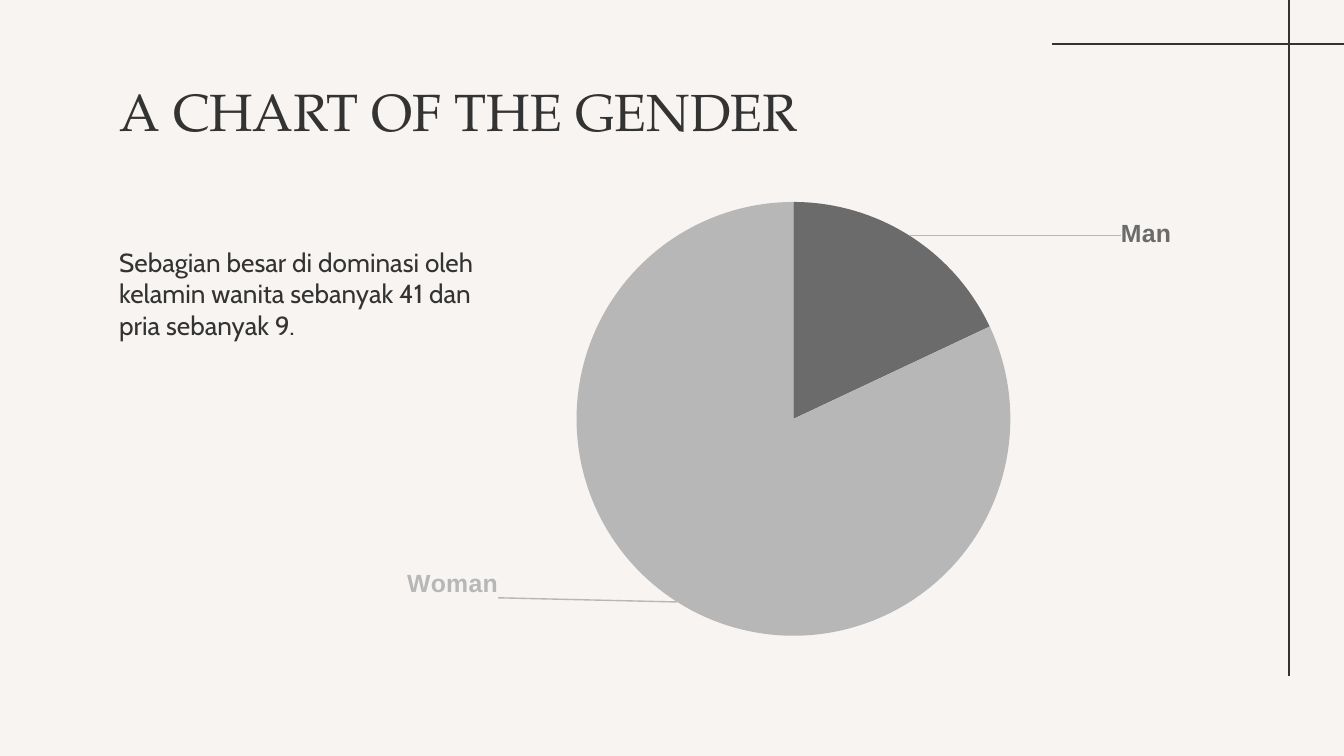
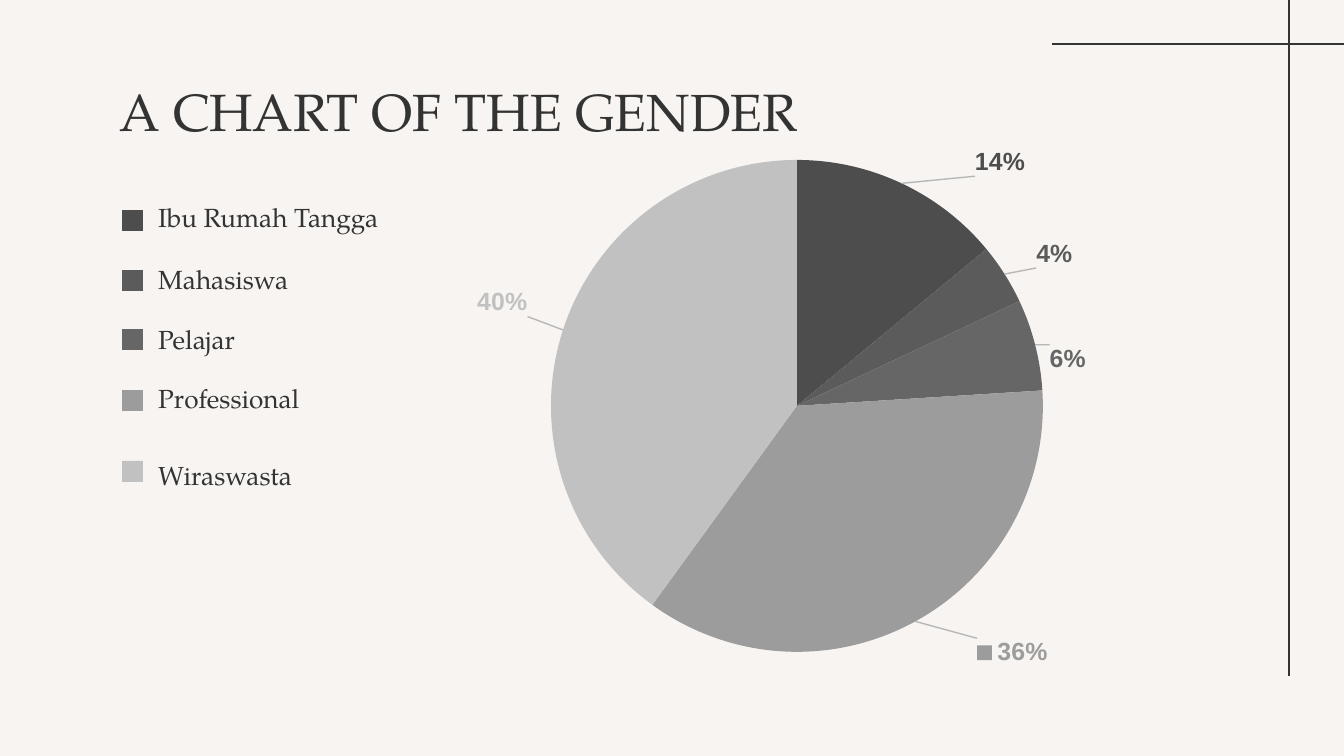
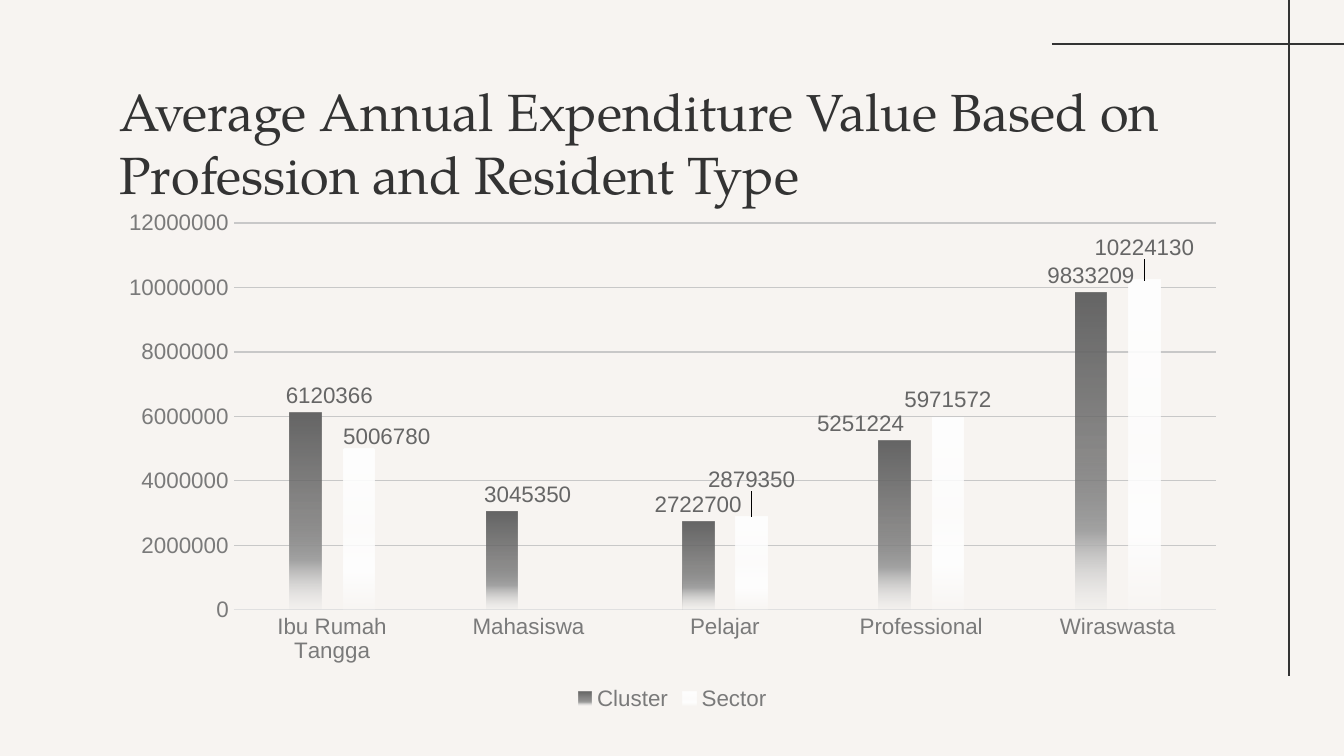
from dataclasses import dataclass

from lxml import etree
from pptx import Presentation
from pptx import util as u
from pptx.chart.data import CategoryChartData
from pptx.dml.color import RGBColor
from pptx.enum import chart as charts, shapes, text
from pptx.oxml import ns

PX = 914400 / 134.4


@dataclass(frozen=True)
class Theme:
    background: str = "F7F4F1"
    ink: str = "333333"
    leader: str = "B7B7B7"
    axis_text: str = "7A7A7A"
    axis_line: str = "E0E0E0"
    grid: str = "C8C8C8"
    value_text: str = "666666"
    genders: tuple = ("6B6B6B", "B7B7B7")
    professions: tuple = ("4D4D4D", "5B5B5B", "666666", "9C9C9C", "C1C1C1")
    # Gradient stops: position in percent, colour, opacity in percent
    cluster: tuple = ((0, "666666", 100), (51, "666666", 75),
                      (75, "A3A3A3", 100), (100, "E0E0E0", 15))
    sector: tuple = ((0, "FFFFFF", 100), (51, "FFFFFF", 75),
                     (75, "FFFFFF", 100), (100, "FFFFFF", 15))
    heading_font: str = "TeX Gyre Pagella"
    body_font: str = "Cabin"
    chart_font: str = "Arial"
    title_size: int = 28
    text_size: int = 14
    slice_size: float = 13.3
    axis_size: int = 12


THEME = Theme()
TITLE_BOX = (106, 66, 1133, 85)
PROFESSIONS = ("Ibu Rumah Tangga", "Mahasiswa", "Pelajar",
               "Professional", "Wiraswasta")


def px(value):
    return u.Emu(round(value * PX))


def emu_box(box):
    return [px(value) for value in box]


def style_font(font, name, size, colour, bold=False):
    font.name = name
    font.size = u.Pt(size)
    font.bold = bold
    font.color.rgb = RGBColor.from_string(colour)


def add_child(parent, tag, **attributes):
    return etree.SubElement(parent, ns.qn(tag), attributes)


# Shared layout

def dress_layout(layout, slide):
    """Give the layout its background, title place and corner lines."""
    fill = layout.background.fill
    fill.solid()
    fill.fore_color.rgb = RGBColor.from_string(THEME.background)
    title = layout.placeholders[0]
    title.left, title.top, title.width, title.height = emu_box(TITLE_BOX)
    corner_lines = ((1052, 44, 1357, 44), (1289, 676, 1289, -4))
    for number, ends in enumerate(corner_lines, start=20):
        line = slide.shapes.add_connector(
            shapes.MSO_CONNECTOR.STRAIGHT, *emu_box(ends))
        line.line.color.rgb = RGBColor.from_string(THEME.ink)
        line.line.width = u.Pt(0.75)
        element = line._element
        add_child(element.spPr, "a:effectLst")
        element.nvCxnSpPr.cNvPr.set("id", str(number))
        layout.shapes._spTree.append(element)


def set_text(shape, words, font, size, anchor):
    frame = shape.text_frame
    frame.word_wrap = True
    frame.auto_size = text.MSO_AUTO_SIZE.NONE
    frame.vertical_anchor = anchor
    frame.margin_left = frame.margin_right = u.Inches(0.1)
    frame.margin_top = frame.margin_bottom = u.Inches(0.1)
    paragraph = frame.paragraphs[0]
    paragraph.text = words
    paragraph.alignment = text.PP_ALIGN.LEFT
    style_font(paragraph.font, font, size, THEME.ink)


def set_title(slide, words):
    set_text(slide.shapes.title, words, THEME.heading_font,
             THEME.title_size, text.MSO_ANCHOR.TOP)


def add_text(slide, box, words, font):
    set_text(slide.shapes.add_textbox(*emu_box(box)), words, font,
             THEME.text_size, text.MSO_ANCHOR.BOTTOM)


# Chart parts

def set_manual_layout(parent, index, **values):
    """Insert a c:layout at the given index of a chart element."""
    for old in parent.findall(ns.qn("c:layout")):
        parent.remove(old)
    layout = etree.Element(ns.qn("c:layout"))
    manual = add_child(layout, "c:manualLayout")
    for name, value in values.items():
        shown = value if isinstance(value, str) else f"{value:.4f}"
        add_child(manual, f"c:{name}", val=shown)
    parent.insert(index, layout)


def place_plot(chart, box, plot):
    left, top, width, height = box
    plot_left, plot_top, plot_width, plot_height = plot
    set_manual_layout(
        chart._chartSpace.chart.plotArea, 0,
        layoutTarget="inner", xMode="edge", yMode="edge",
        x=(plot_left - left) / width, y=(plot_top - top) / height,
        w=plot_width / width, h=plot_height / height)


def label_point(series, index, box, offset, colour, size, bold, shows):
    """Label one point, moved by offset px from its usual place."""
    label = series.points[index].data_label
    style_font(label.font, THEME.chart_font, size, colour, bold)
    label.position = charts.XL_LABEL_POSITION.OUTSIDE_END
    element = series._element.xpath(
        f'c:dLbls/c:dLbl[c:idx/@val="{index}"]')[0]
    for flag in ("showLegendKey", "showVal", "showCatName", "showPercent"):
        element.find(ns.qn(f"c:{flag}")).set("val", str(int(flag in shows)))
    set_manual_layout(element, 1, x=offset[0] / box[2], y=offset[1] / box[3])


def set_leader_lines(series, colour=None):
    """Draw leader lines in the colour, or none without one."""
    labels = series._element.find(ns.qn("c:dLbls"))
    for old in labels.findall(ns.qn("c:showLeaderLines")):
        labels.remove(old)
    if colour:
        add_child(labels, "c:showLeaderLines", val="1")
        properties = add_child(add_child(labels, "c:leaderLines"), "c:spPr")
        line = add_child(properties, "a:ln", w="9525")
        add_child(add_child(line, "a:solidFill"), "a:srgbClr", val=colour)


def set_explosion(series, percent):
    """Explode the series, which shrinks the pie, but keep slices joined."""
    points = series._element.findall(ns.qn("c:dPt"))
    whole = etree.Element(ns.qn("c:explosion"), val=str(percent))
    points[0].addprevious(whole)
    for point in points:
        joined = etree.Element(ns.qn("c:explosion"), val="0")
        point.find(ns.qn("c:spPr")).addprevious(joined)


def add_chart(slide, kind, box, plot, categories, columns):
    data = CategoryChartData()
    data.categories = categories
    for name, values in columns:
        data.add_series(name, values)
    chart = slide.shapes.add_chart(kind, *emu_box(box), data).chart
    chart.has_title = False
    chart.has_legend = False
    style_font(chart.font, THEME.chart_font, 10, THEME.ink)
    place_plot(chart, box, plot)
    return chart


def add_pie(slide, box, plot, categories, values, colours, offsets, shows,
            keyed=()):
    """Add a pie whose labels take the colours of their slices."""
    chart = add_chart(slide, charts.XL_CHART_TYPE.PIE, box, plot,
                      categories, [("Series 1", values)])
    chart.plots[0].vary_by_categories = True
    series = chart.plots[0].series[0]
    for index, (colour, offset) in enumerate(zip(colours, offsets)):
        point_format = series.points[index].format
        point_format.fill.solid()
        point_format.fill.fore_color.rgb = RGBColor.from_string(colour)
        point_format.line.fill.background()
        flags = (shows, "showLegendKey") if index in keyed else (shows,)
        label_point(series, index, box, offset, colour,
                    THEME.slice_size, True, flags)
    set_leader_lines(series, THEME.leader)
    return series


def fill_gradient(series, stops):
    properties = series._element.get_or_add_spPr()
    gradient = add_child(properties, "a:gradFill", rotWithShape="1")
    stop_list = add_child(gradient, "a:gsLst")
    for position, colour, opacity in stops:
        stop = add_child(stop_list, "a:gs", pos=str(position * 1000))
        shade = add_child(stop, "a:srgbClr", val=colour)
        if opacity < 100:
            add_child(shade, "a:alpha", val=str(opacity * 1000))
    add_child(gradient, "a:lin", ang="5400000", scaled="0")
    series.format.line.fill.background()


def style_axes(chart):
    for axis in (chart.category_axis, chart.value_axis):
        axis.major_tick_mark = charts.XL_TICK_MARK.NONE
        axis.minor_tick_mark = charts.XL_TICK_MARK.NONE
        style_font(axis.tick_labels.font, THEME.chart_font,
                   THEME.axis_size, THEME.axis_text)
    base_line = chart.category_axis.format.line
    base_line.color.rgb = RGBColor.from_string(THEME.axis_line)
    base_line.width = u.Pt(0.75)
    value_axis = chart.value_axis
    value_axis.minimum_scale = 0
    value_axis.maximum_scale = 12000000
    value_axis.major_unit = 2000000
    value_axis.format.line.fill.background()
    value_axis.has_major_gridlines = True
    grid_line = value_axis.major_gridlines.format.line
    grid_line.color.rgb = RGBColor.from_string(THEME.grid)
    grid_line.width = u.Pt(0.75)


def add_expenditure_columns(slide, box, plot):
    columns = [
        ("Cluster", (6120366, 3045350, 2722700, 5251224, 9833209)),
        ("Sector", (5006780, None, 2879350, 5971572, 10224130)),
    ]
    gradients = (THEME.cluster, THEME.sector)
    moved_labels = ({0: (24, 1), 1: (26, 0), 3: (-34, 1)},
                    {0: (28, 6), 2: (0, -20), 4: (0, -15)})
    chart = add_chart(slide, charts.XL_CHART_TYPE.COLUMN_CLUSTERED, box,
                      plot, PROFESSIONS, columns)
    bars = chart.plots[0]
    bars.vary_by_categories = False
    bars.gap_width = 355
    bars.overlap = -70
    for series, stops, offsets in zip(bars.series, gradients, moved_labels):
        fill_gradient(series, stops)
        labels = series.data_labels
        labels.show_value = True
        labels.position = charts.XL_LABEL_POSITION.OUTSIDE_END
        style_font(labels.font, THEME.chart_font, THEME.axis_size,
                   THEME.value_text)
        for index, offset in offsets.items():
            label_point(series, index, box, offset, THEME.value_text,
                        THEME.axis_size, False, ("showVal",))
        set_leader_lines(series)
    style_axes(chart)
    chart.has_legend = True
    chart.legend.position = charts.XL_LEGEND_POSITION.BOTTOM
    chart.legend.include_in_layout = False
    style_font(chart.legend.font, THEME.chart_font, THEME.axis_size,
               THEME.axis_text)


def add_profession_key(slide, left, top):
    """Add the colour squares and their names below the given corner."""
    square_tops = (26, 86, 145, 206, 277)
    name_tops = (0, 62, 122, 181, 258)
    for name, colour, square_top, name_top in zip(
            PROFESSIONS, THEME.professions, square_tops, name_tops):
        square = slide.shapes.add_shape(
            shapes.MSO_SHAPE.RECTANGLE,
            *emu_box((left, top + square_top, 21, 21)))
        square.shadow.inherit = False
        square.fill.solid()
        square.fill.fore_color.rgb = RGBColor.from_string(colour)
        square.line.fill.background()
        add_text(slide, (left + 23, top + name_top, 285, 62), name,
                 THEME.heading_font)


# Slides

def build_gender_slide(slide):
    set_title(slide, "A CHART OF THE GENDER")
    add_text(slide, (106, 270, 396, 84),
             "Sebagian besar di dominasi oleh kelamin wanita sebanyak 41 "
             "dan pria sebanyak 9.", THEME.body_font)
    series = add_pie(
        slide, box=(245, 98, 1099, 640), plot=(505, 119, 577, 600),
        categories=("Man", "Woman"), values=(18, 82),
        colours=THEME.genders, offsets=((207, 19), (-175, -39)),
        shows="showCatName")
    set_explosion(series, 33)
    labels = series.data_labels
    labels.show_value = False
    labels.show_category_name = True
    labels.position = charts.XL_LABEL_POSITION.OUTSIDE_END


def build_profession_slide(slide):
    set_title(slide, "A CHART OF THE GENDER")
    add_profession_key(slide, 122, 184)
    series = add_pie(
        slide, box=(402, 118, 777, 573), plot=(551, 160, 492, 492),
        categories=("1", "2", "3", "4", "5"), values=(7, 2, 3, 18, 20),
        colours=THEME.professions,
        offsets=((70, 0), (25, -2), (7, 30), (58, 10), (-28, -11)),
        shows="showPercent", keyed=(3,))
    series.data_labels.show_value = True
    series.data_labels.show_percentage = True


def build_expenditure_slide(slide):
    set_title(slide, "Average Annual Expenditure Value Based on "
                     "Profession and Resident Type")
    add_expenditure_columns(slide, box=(106, 200, 1133, 516),
                            plot=(234, 223, 982, 387))


def main():
    presentation = Presentation()
    presentation.slide_width = px(1344)
    presentation.slide_height = px(756)
    layout = presentation.slide_layouts[5]
    builders = (build_gender_slide, build_profession_slide,
                build_expenditure_slide)
    slides = [presentation.slides.add_slide(layout) for _ in builders]
    dress_layout(layout, slides[0])
    for build, slide in zip(builders, slides):
        build(slide)
    presentation.save("out.pptx")


if __name__ == "__main__":
    main()
